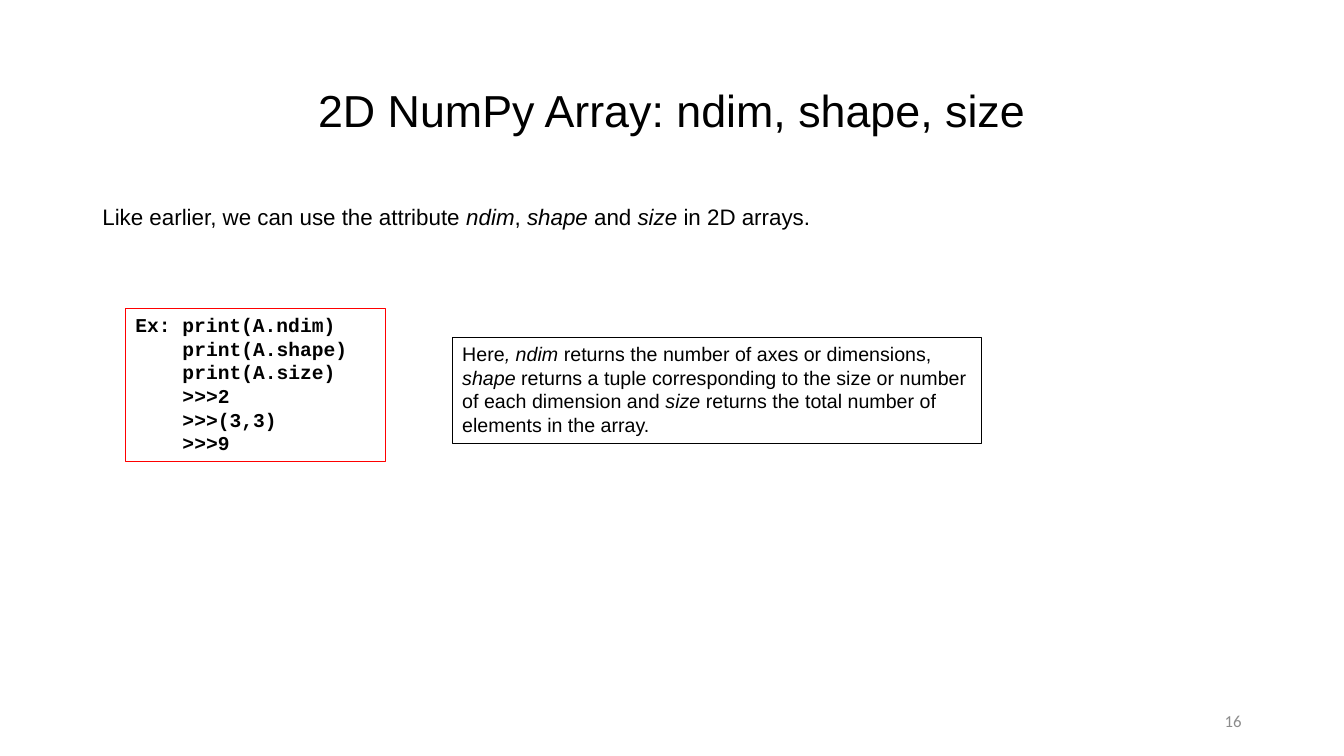
from pptx import Presentation
from pptx.dml.color import RGBColor
from pptx.enum.text import MSO_ANCHOR, MSO_AUTO_SIZE, PP_ALIGN
from pptx.util import Cm, Pt

BLACK, RED, GREY = "000000", "FF0000", "8C8C8C"
CODE_INDENT = 1.19  # width of "Ex: " in cm


def color(hex_code):
    return RGBColor.from_string(hex_code)


def add_text(slide, box, lines, size, font="Arial", ink=BLACK, bold=None,
             align=PP_ALIGN.LEFT, anchor=MSO_ANCHOR.TOP, spacing=None):
    """Write lines into a box (cm); *asterisks* enclose italics."""
    shape = slide.shapes.add_textbox(*(Cm(v) for v in box))
    frame = shape.text_frame
    frame.word_wrap = True
    frame.vertical_anchor = anchor
    for number, line in enumerate(lines):
        paragraph = frame.add_paragraph() if number else frame.paragraphs[0]
        paragraph.alignment = align
        if spacing:
            paragraph.line_spacing = spacing
        for part, words in enumerate(line.split("*")):
            if not words:
                continue
            run = paragraph.add_run()
            run.text = words
            run.font.name = font
            run.font.size = Pt(size)
            run.font.bold = bold
            run.font.italic = part % 2 == 1
            run.font.color.rgb = color(ink)
    return shape


def outline(shape, hex_code):
    shape.line.color.rgb = color(hex_code)
    shape.line.width = Pt(0.75)
    shape.text_frame.auto_size = MSO_AUTO_SIZE.SHAPE_TO_FIT_TEXT


def title(slide, box, text):
    add_text(slide, box, [text], 32, align=PP_ALIGN.CENTER,
             anchor=MSO_ANCHOR.MIDDLE, spacing=0.9)


def introduction(slide, box, text):
    add_text(slide, box, [text], 16, spacing=0.9)


def code_example(slide, box, lines):
    shape = add_text(slide, box, lines, 14, font="Courier New", bold=True)
    outline(shape, RED)
    # Every line aligns after the "Ex: " label
    for number, paragraph in enumerate(shape.text_frame.paragraphs):
        properties = paragraph._p.get_or_add_pPr()
        properties.set("marL", str(Cm(CODE_INDENT)))
        properties.set("indent", str(0 if number else -Cm(CODE_INDENT)))


def explanation(slide, box, text):
    outline(add_text(slide, box, [text], 14), BLACK)


def page_number(slide, box, number):
    add_text(slide, box, [str(number)], 12, font="Calibri", ink=GREY,
             align=PP_ALIGN.RIGHT, anchor=MSO_ANCHOR.MIDDLE)


prs = Presentation()
prs.slide_width, prs.slide_height = Cm(33.87), Cm(19.05)
slide = prs.slides.add_slide(prs.slide_layouts[6])

# Heading and introduction
title(slide, (2.33, 1.01, 29.21, 3.68), "2D NumPy Array: ndim, shape, size")
introduction(slide, (2.33, 5.07, 29.21, 12.09),
             "Like earlier, we can use the attribute *ndim*, *shape* and "
             "*size *in 2D arrays.")

# Example and its explanation
code_example(slide, (3.16, 7.77, 6.55, 3.85),
             ["Ex: print(A.ndim)", "print(A.shape)", "print(A.size)",
              ">>>2", ">>>(3,3)", ">>>9"])
explanation(slide, (11.4, 8.5, 13.33, 2.68),
            "Here*, ndim* returns\u00a0the number of axes or dimensions, "
            "*shape* returns a tuple corresponding to the size or number of "
            "each dimension and *size* returns the total number of elements "
            "in the array.")

# Footer
page_number(slide, (23.92, 17.66, 7.62, 1.01), 16)

prs.save("out.pptx")
